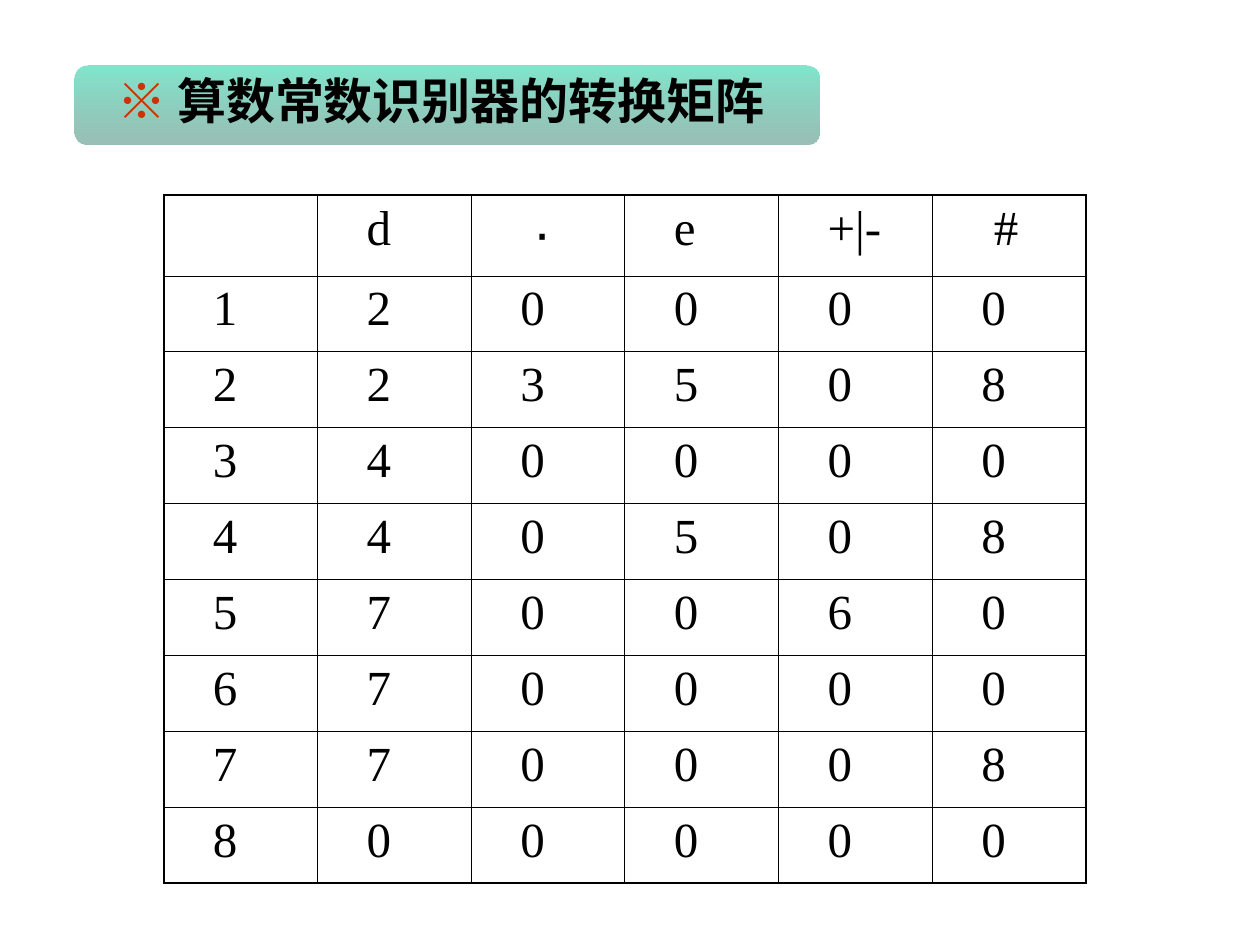
from dataclasses import dataclass

from lxml.etree import SubElement
from pptx import Presentation
from pptx.dml.color import RGBColor
from pptx.enum.shapes import MSO_SHAPE
from pptx.enum.text import MSO_ANCHOR, MSO_AUTO_SIZE, PP_ALIGN
from pptx.oxml.ns import qn
from pptx.util import Inches, Pt


@dataclass(frozen=True)
class Theme:
    text: str = "000000"
    mark: str = "CC3300"
    banner: tuple = (("00CC99", 50), ("005E47", 40))
    title_font: str = "Noto Sans CJK SC"
    table_font: str = "Times New Roman"
    dot_font: str = "Arial"
    size: int = 28
    dot_size: int = 32
    outer_line: float = 1.08
    inner_line: float = 0.45


theme = Theme()


def style_font(font, name, size, bold=False):
    font.name = name
    font.size = Pt(size)
    font.bold = bold
    font.color.rgb = RGBColor.from_string(theme.text)
    SubElement(font._element, qn("a:ea"), typeface=name)


def add_border(cell, side, width):
    line = SubElement(cell._tc.get_or_add_tcPr(), qn(f"a:ln{side}"), w=str(Pt(width)))
    fill = SubElement(line, qn("a:solidFill"))
    SubElement(fill, qn("a:srgbClr"), val=theme.text)


deck = Presentation()
deck.slide_width = Inches(10)
deck.slide_height = Inches(7.5)
page = deck.slides.add_slide(deck.slide_layouts[5])

title = page.shapes.title
title.left, title.top = Inches(0.83), Inches(0.51)
title.width, title.height = Inches(5.59), Inches(0.57)
frame = title.text_frame
frame.word_wrap = True
frame.auto_size = MSO_AUTO_SIZE.SHAPE_TO_FIT_TEXT
frame.vertical_anchor = MSO_ANCHOR.TOP
para = frame.paragraphs[0]
para.alignment = PP_ALIGN.LEFT
para.space_before = Pt(0)
style_font(para.font, theme.title_font, theme.size, bold=True)
span = para.add_run()
span.text = "※ "
span.font.color.rgb = RGBColor.from_string(theme.mark)
para.add_run().text = "算数常数识别器的转换矩阵"

banner = page.shapes.add_shape(
    MSO_SHAPE.FLOWCHART_ALTERNATE_PROCESS,
    Inches(0.59), Inches(0.52), Inches(5.91), Inches(0.63),
)
banner.shadow.inherit = False
banner.line.fill.background()
banner.fill.gradient()
banner.fill.gradient_angle = 270
for stop, (color, opacity) in zip(banner.fill.gradient_stops, theme.banner):
    stop.color.rgb = RGBColor.from_string(color)
    color_element = next(stop._gs.iter(qn("a:srgbClr")))
    SubElement(color_element, qn("a:alpha"), val=str(opacity * 1000))
title._element.addprevious(banner._element)

matrix = [
    ["", "d", "·", "e", "+|-", "#"],
    ["1", "2", "0", "0", "0", "0"],
    ["2", "2", "3", "5", "0", "8"],
    ["3", "4", "0", "0", "0", "0"],
    ["4", "4", "0", "5", "0", "8"],
    ["5", "7", "0", "0", "6", "0"],
    ["6", "7", "0", "0", "0", "0"],
    ["7", "7", "0", "0", "0", "8"],
    ["8", "0", "0", "0", "0", "0"],
]
row_count, column_count = len(matrix), len(matrix[0])
table_height, header_height = Inches(5.46), Inches(0.64)
table = page.shapes.add_table(
    row_count, column_count, Inches(1.3), Inches(1.55), Inches(7.32), table_height
).table
table.first_row = False
table.horz_banding = False
for row in table.rows:
    row.height = (table_height - header_height) // (row_count - 1)
table.rows[0].height = header_height

for row_index, values in enumerate(matrix):
    for column_index, value in enumerate(values):
        cell = table.cell(row_index, column_index)
        outer_sides = {
            "L": column_index == 0,
            "R": column_index == column_count - 1,
            "T": row_index == 0,
            "B": row_index == row_count - 1,
        }
        for side, is_outer in outer_sides.items():
            add_border(cell, side, theme.outer_line if is_outer else theme.inner_line)
        cell.fill.background()
        cell.margin_left = Inches(0.49 if value in ("·", "#") else 0.39)
        if value:
            para = cell.text_frame.paragraphs[0]
            para.add_run().text = value
            if value == "·":
                style_font(para.font, theme.dot_font, theme.dot_size)
            else:
                style_font(para.font, theme.table_font, theme.size)

deck.save("out.pptx")
